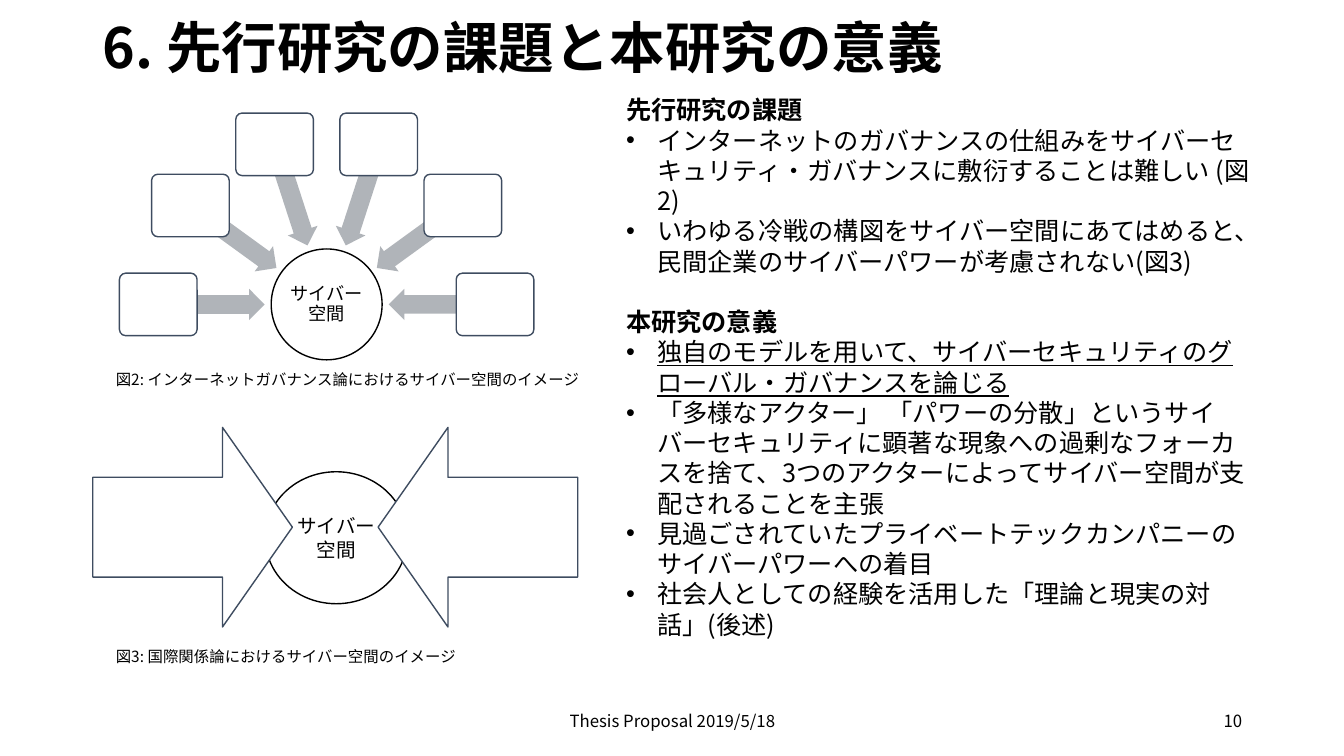
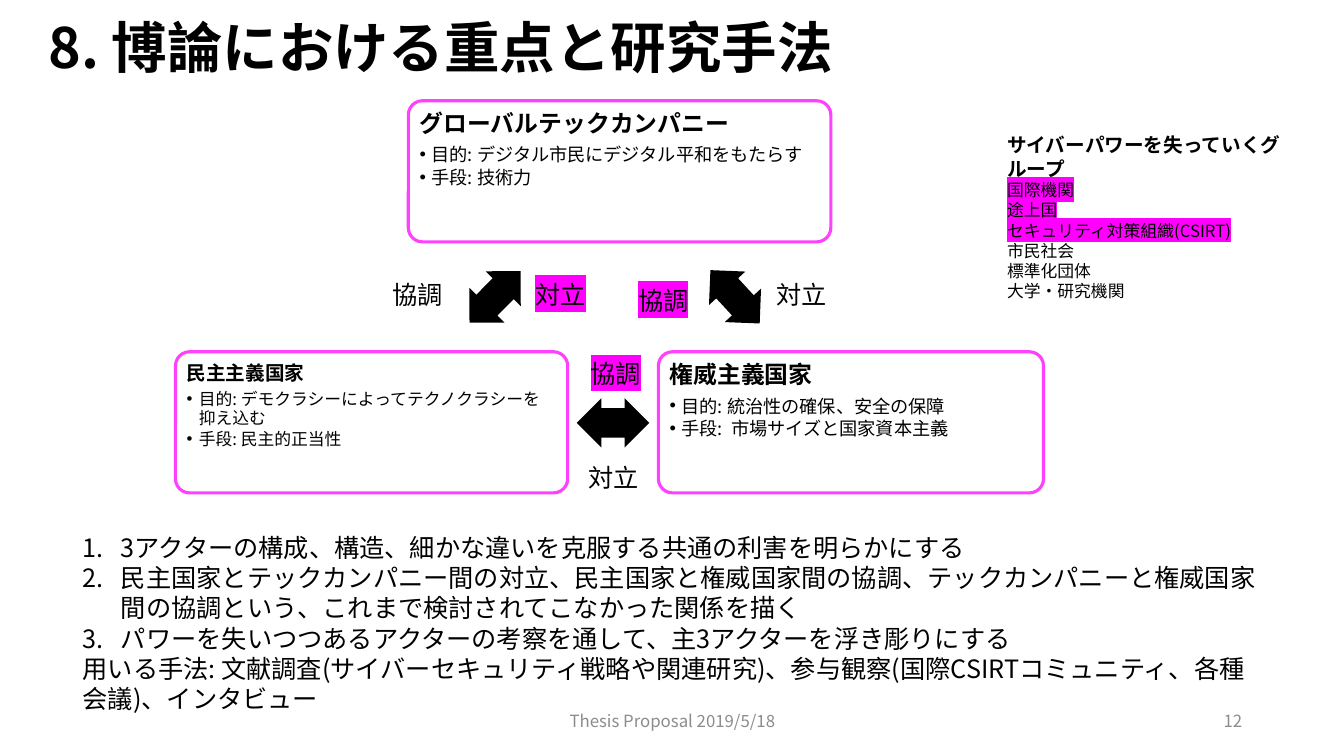
"""Builds two thesis proposal slides on cyber power and its governance."""
import dataclasses
import math

import lxml.etree
import pptx
import pptx.dml.color
import pptx.enum.shapes
import pptx.enum.text
import pptx.oxml.ns
import pptx.util

Inches = pptx.util.Inches
Pt = pptx.util.Pt
KIND = pptx.enum.shapes.MSO_SHAPE
ALIGN = pptx.enum.text.PP_ALIGN
ANCHOR = pptx.enum.text.MSO_ANCHOR
qn = pptx.oxml.ns.qn

FONT = "Noto Sans CJK JP"
INK = {
    "text": "000000",
    "paper": "FFFFFF",
    "slate": "3E4C60",
    "arrow": "B0B4B9",
    "frame": "FF40FF",
    "mark": "FF00FF",
    "faint": "8C8C8C",
}


@dataclasses.dataclass
class Row:
    """One paragraph and its look."""
    text: str
    size: float = 18
    bold: bool = False
    under: bool = False
    mark: bool = False
    list: str = ""
    hang: float = 0
    before: float = 0
    after: float = 0
    ink: str = "text"
    align: int = ALIGN.LEFT


def tint(name):
    """Return a named colour."""
    return pptx.dml.color.RGBColor.from_string(INK[name])


def style(run, row):
    """Format one run."""
    font = run.font
    font.size = Pt(row.size)
    font.bold = row.bold
    font.underline = row.under
    font.color.rgb = tint(row.ink)
    font.name = FONT
    latin = run._r.rPr.find(qn("a:latin"))
    east = lxml.etree.Element(qn("a:ea"), typeface=FONT)
    latin.addnext(east)
    if row.mark:
        light = lxml.etree.Element(qn("a:highlight"))
        lxml.etree.SubElement(light, qn("a:srgbClr"), val=INK["mark"])
        latin.addprevious(light)


def bullet(para, row):
    """Set the list sign and hanging indent of a paragraph."""
    props = para._p.get_or_add_pPr()
    hang = Inches(row.hang)
    props.set("marL", str(hang))
    props.set("indent", str(-hang))
    if row.list == "dot":
        lxml.etree.SubElement(props, qn("a:buFont"), typeface="Arial")
        lxml.etree.SubElement(props, qn("a:buChar"), char="•")
    elif row.list == "num":
        lxml.etree.SubElement(props, qn("a:buAutoNum"), type="arabicPeriod")
    else:
        lxml.etree.SubElement(props, qn("a:buNone"))


def write(shape, rows, lead=1.2, inset=(0.1, 0.05), anchor=ANCHOR.TOP):
    """Fill a shape with formatted paragraphs."""
    frame = shape.text_frame
    frame.text = "\n".join(row.text for row in rows)
    frame.word_wrap = True
    frame.auto_size = pptx.enum.text.MSO_AUTO_SIZE.NONE
    frame.vertical_anchor = anchor
    frame.margin_left = frame.margin_right = Inches(inset[0])
    frame.margin_top = frame.margin_bottom = Inches(inset[1])
    for para, row in zip(frame.paragraphs, rows):
        para.alignment = row.align
        para.line_spacing = Pt(round(row.size * lead, 1))
        para.space_before = Pt(row.before)
        para.space_after = Pt(row.after)
        bullet(para, row)
        for run in para.runs:
            style(run, row)


def place(shape, box):
    """Move a shape to a box."""
    shape.left, shape.top, shape.width, shape.height = map(Inches, box)


def note(slide, box, rows, **look):
    """Add a text box."""
    shape = slide.shapes.add_textbox(*map(Inches, box))
    write(shape, rows, **look)


def draw(slide, kind, box, fill, line=None, width=1, adjust=(), turn=0):
    """Add a flat preset shape."""
    shape = slide.shapes.add_shape(kind, *map(Inches, box))
    shape.shadow.inherit = False
    shape.fill.solid()
    shape.fill.fore_color.rgb = tint(fill)
    if line:
        shape.line.color.rgb = tint(line)
        shape.line.width = Pt(width)
    else:
        shape.line.fill.background()
    for index, value in enumerate(adjust):
        shape.adjustments[index] = value
    shape.rotation = turn
    return shape


def around(x, y, wide, high):
    """Return the box centred on a point."""
    return x - wide / 2, y - high / 2, wide, high


def start(deck, title, left, page, ink):
    """Add a slide with its title and footer."""
    slide = deck.slides.add_slide(deck.slide_layouts[1])
    place(slide.shapes.title, (left, 0.15, 11.5, 0.69))
    write(slide.shapes.title, [Row(title, 39.6, True)], 1.08, anchor=ANCHOR.MIDDLE)
    for box, text, align in (
        ((4.42, 6.95, 4.5, 0.4), "Thesis Proposal 2019/5/18", ALIGN.CENTER),
        ((9.42, 6.95, 3, 0.4), page, ALIGN.RIGHT),
    ):
        note(slide, box, [Row(text, 12, ink=ink, align=align)], anchor=ANCHOR.MIDDLE)
    return slide


def body(slide, box, rows):
    """Fill the body placeholder."""
    shape = slide.placeholders[1]
    place(shape, box)
    write(shape, rows)


def space(slide, box, size, lead, inset):
    """Draw the cyberspace circle."""
    shape = draw(slide, KIND.OVAL, box, "paper", "text")
    row = Row("サイバー空間", size, align=ALIGN.CENTER)
    write(shape, [row], lead, (inset, 0), ANCHOR.MIDDLE)


def radial(slide, x, y):
    """Draw six actors around cyberspace."""
    space(slide, around(x, y, 1.1, 1.1), 13, 1.08, 0)
    for angle in range(180, -1, -36):
        cos, sin = math.cos(math.radians(angle)), math.sin(math.radians(angle))
        spot = around(x + 1.14 * cos, y - 1.14 * sin, 1.05, 0.31)
        draw(slide, KIND.LEFT_ARROW, spot, "arrow", adjust=(0.6, 0.5), turn=-angle % 360)
        spot = around(x + 1.67 * cos, y - 1.67 * sin, 0.77, 0.62)
        draw(slide, KIND.ROUNDED_RECTANGLE, spot, "paper", "slate", adjust=(0.1,))


def clash(slide, box):
    """Draw two big arrows meeting over cyberspace."""
    left, top, wide, high = box
    space(slide, (left + 1.71, top + 0.44, 1.41, 1.31), 14, 1.2, 0.08)
    for kind, x in ((KIND.RIGHT_ARROW, left), (KIND.LEFT_ARROW, left + wide - high)):
        draw(slide, kind, (x, top, high, high), "paper", "slate", adjust=(0.5, 0.35))


def actor(slide, box, name, points, sizes):
    """Draw a framed actor with its aim and means."""
    shape = draw(slide, KIND.ROUNDED_RECTANGLE, box, "paper", "frame", 2.25, (0.1,))
    rows = [Row(name, sizes[0], True, after=sizes[0] * 0.35)]
    rows += [Row(text, sizes[1], list="dot", hang=0.12, after=2) for text in points]
    write(shape, rows, 1.08, (0.07, 0.07))


def issues(deck):
    """Build the slide on earlier research."""
    slide = start(deck, "6. 先行研究の課題と本研究の意義", 0.92, "10", "text")
    radial(slide, 3.24, 3.02)
    clash(slide, (0.92, 4.24, 4.81, 1.98))
    for top, text in (
        (3.62, "図2: インターネットガバナンス論におけるサイバー空間のイメージ"),
        (6.37, "図3: 国際関係論におけるサイバー空間のイメージ"),
    ):
        note(slide, (1.05, top, 5.22, 0.29), [Row(text, 11)])
    dot = {"list": "dot", "hang": 0.31}
    body(slide, (6.11, 0.89, 6.46, 6), [
        Row("先行研究の課題", bold=True),
        Row("インターネットのガバナンスの仕組みをサイバーセキュリティ・ガバナンスに敷衍することは難しい (図2)", **dot),
        Row("いわゆる冷戦の構図をサイバー空間にあてはめると、民間企業のサイバーパワーが考慮されない(図3)", **dot),
        Row("本研究の意義", bold=True, before=21.6),
        Row("独自のモデルを用いて、サイバーセキュリティのグローバル・ガバナンスを論じる", under=True, **dot),
        Row("「多様なアクター」 「パワーの分散」というサイバーセキュリティに顕著な現象への過剰なフォーカスを捨て、3つのアクターによってサイバー空間が支配されることを主張", **dot),
        Row("見過ごされていたプライベートテックカンパニーのサイバーパワーへの着目", **dot),
        Row("社会人としての経験を活用した「理論と現実の対話」(後述)", **dot),
    ])


def bonds(slide):
    """Draw the arrows between actors and their labels."""
    for x, y, turn in ((4.55, 2.7, 314.7), (6.93, 2.7, 47.3), (5.72, 3.95, 0)):
        box = (x, y, 0.72, 0.49)
        draw(slide, KIND.LEFT_RIGHT_ARROW, box, "text", adjust=(0.6, 0.5), turn=turn)
    for x, y, text, mark in (
        (3.79, 2.72, "協調", False),
        (5.21, 2.72, "対立", True),
        (6.23, 2.78, "協調", True),
        (7.6, 2.72, "対立", False),
        (5.76, 3.51, "協調", True),
        (5.74, 4.54, "対立", False),
    ):
        note(slide, (x, y, 0.97, 0.4), [Row(text, mark=mark)])


def methods(deck):
    """Build the slide on focus and methods."""
    slide = start(deck, "8. 博論における重点と研究手法", 0.38, "12", "faint")
    actor(slide, (4.05, 1, 4.19, 1.4), "グローバルテックカンパニー",
          ("目的: デジタル市民にデジタル平和をもたらす", "手段: 技術力"), (17, 13))
    actor(slide, (6.53, 3.49, 3.82, 1.4), "権威主義国家",
          ("目的: 統治性の確保、安全の保障", "手段:  市場サイズと国家資本主義"), (17, 13))
    actor(slide, (1.74, 3.49, 3.89, 1.4), "民主主義国家",
          ("目的: デモクラシーによってテクノクラシーを抑え込む", "手段: 民主的正当性"), (14, 12))
    bonds(slide)
    losers = ("国際機関", "途上国", "セキュリティ対策組織(CSIRT)", "市民社会", "標準化団体", "大学・研究機関")
    rows = [Row("サイバーパワーを失っていくグループ", 14, True)]
    rows += [Row(text, 12, mark=index < 3) for index, text in enumerate(losers)]
    note(slide, (9.89, 1.27, 3.07, 2.19), rows)
    num = {"list": "num", "hang": 0.38}
    body(slide, (0.72, 5.23, 11.89, 1.9), [
        Row("3アクターの構成、構造、細かな違いを克服する共通の利害を明らかにする", **num),
        Row("民主国家とテックカンパニー間の対立、民主国家と権威国家間の協調、テックカンパニーと権威国家間の協調という、これまで検討されてこなかった関係を描く", **num),
        Row("パワーを失いつつあるアクターの考察を通して、主3アクターを浮き彫りにする", **num),
        Row("用いる手法: 文献調査(サイバーセキュリティ戦略や関連研究)、参与観察(国際CSIRTコミュニティ、各種会議)、インタビュー"),
    ])


def main():
    """Build and save the deck."""
    deck = pptx.Presentation()
    deck.slide_width = Inches(13.33)
    deck.slide_height = Inches(7.5)
    issues(deck)
    methods(deck)
    deck.save("out.pptx")


if __name__ == "__main__":
    main()
